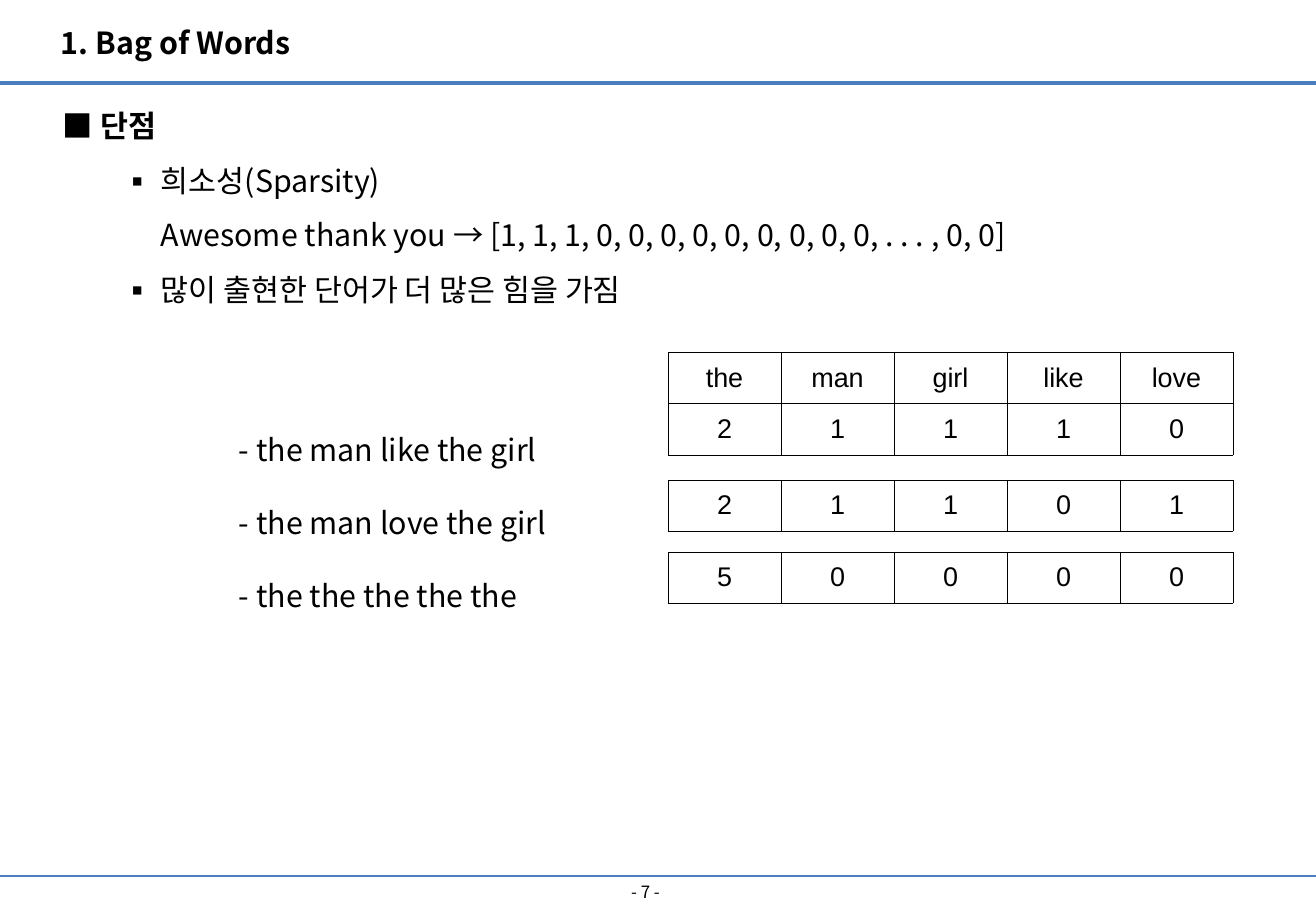
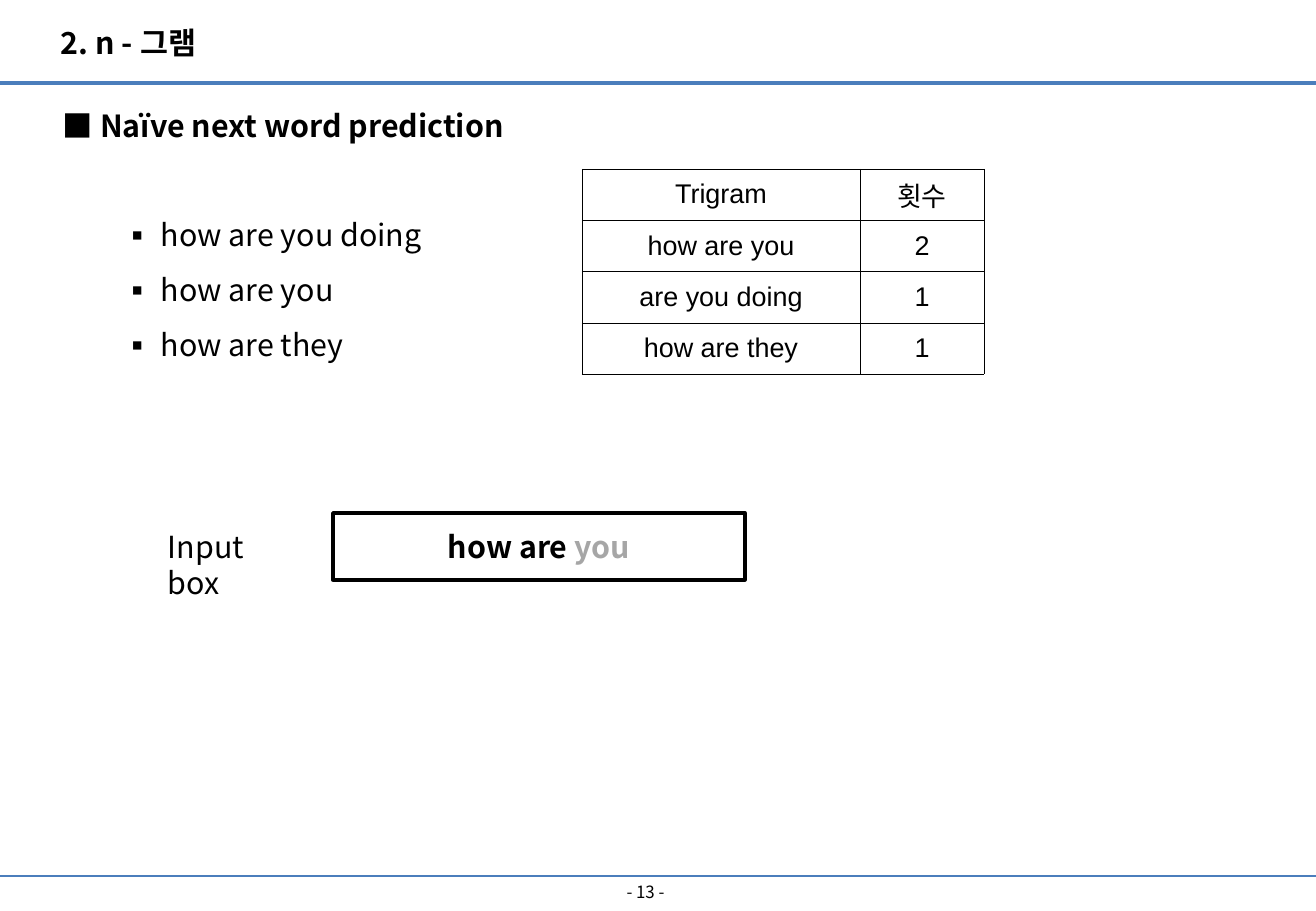
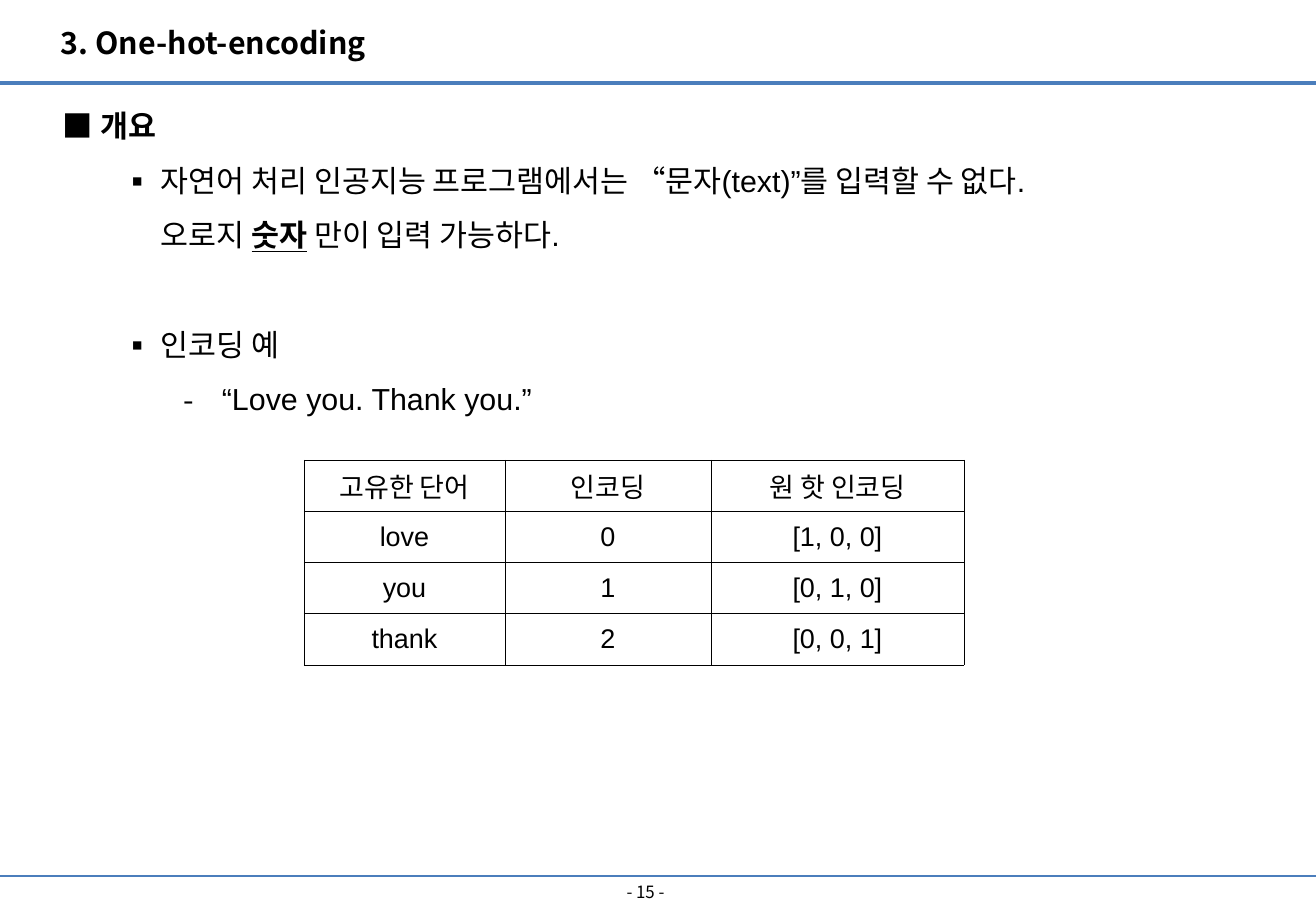
from dataclasses import dataclass

from lxml.etree import SubElement
from pptx import Presentation
from pptx.dml.color import RGBColor
from pptx.enum.shapes import MSO_CONNECTOR, MSO_SHAPE
from pptx.enum.text import MSO_ANCHOR, MSO_AUTO_SIZE, PP_ALIGN
from pptx.oxml.ns import qn
from pptx.util import Pt

# ---- Content: outline lines are (kind, gap before, runs); runs are (text, style)
BOLD = {"bold": True}
SLIDES = [
    {
        "title": ("1. Bag of Words", 262),
        "page": 7,
        "outline_size": (1200, 233),
        "outline_font": "Noto Sans CJK KR",
        "outline": [
            ("heading", False, [("■ 단점", BOLD)]),
            ("bullet", False, [
                ("희소성(Sparsity)\nAwesome thank you → "
                 "[1, 1, 1, 0, 0, 0, 0, 0, 0, 0, 0, 0, . . . , 0, 0]", {})]),
            ("bullet", False, [("많이 출현한 단어가 더 많은 힘을 가짐", {})]),
        ],
        "tables": [
            {"at": (668, 352), "columns": [113] * 5, "height": 103, "side_inset": 0,
             "rows": [("the", "man", "girl", "like", "love"), "21110"]},
            {"at": (668, 480), "columns": [113] * 5, "height": 51, "side_inset": 0,
             "rows": ["21101"]},
            {"at": (668, 552), "columns": [113] * 5, "height": 51, "side_inset": 0,
             "rows": ["50000"]},
        ],
    },
    {
        "title": ("2. n - 그램", 176),
        "page": 13,
        "outline_size": (1200, 288),
        "outline_font": "Noto Sans CJK KR",
        "outline": [
            ("heading", False, [("■ Naïve next word prediction", BOLD)]),
            ("bullet", True, [("how are you doing", {})]),
            ("bullet", False, [("how are you", {})]),
            ("bullet", False, [("how are they", {})]),
        ],
        "tables": [
            {"at": (582, 169), "columns": [278, 124], "height": 205, "side_inset": 12,
             "rows": [("Trigram", "횟수"), ("how are you", "2"),
                      ("are you doing", "1"), ("how are they", "1")]},
        ],
    },
    {
        "title": ("3. One-hot-encoding", 329),
        "page": 15,
        "outline_size": (1162, 344),
        "outline_font": "Arial",
        "outline": [
            ("heading", False, [("■ 개요", BOLD)]),
            ("bullet", False, [
                ("자연어 처리 인공지능 프로그램에서는 “문자(text)”를 입력할 수 없다.\n오로지 ", {}),
                ("숫자", {"bold": True, "underline": True}),
                (" 만이 입력 가능하다.", {})]),
            ("bullet", True, [("인코딩 예", {})]),
            ("dash", False, [("“Love you. Thank you.”", {})]),
        ],
        "tables": [
            {"at": (304, 460), "columns": [201, 206, 253], "height": 205, "side_inset": 12,
             "rows": [("고유한 단어", "인코딩", "원 핫 인코딩"), ("love", "0", "[1, 0, 0]"),
                      ("you", "1", "[0, 1, 0]"), ("thank", "2", "[0, 0, 1]")]},
        ],
    },
]
SENTENCES = ["- the man like the girl", "- the man love the girl", "- the the the the the"]
INPUT_LABEL = "Input box"
TYPED, PREDICTED = "how are ", "you"


# ---- Theme
@dataclass(frozen=True)
class Theme:
    ink: str = "000000"
    rule: str = "4B7EBC"
    faded: str = "A6A6A6"
    sans: str = "Noto Sans CJK KR"
    table_font: str = "Arial"
    text_size: int = 18
    table_size: int = 16
    page_size: int = 10
    blank_line: float = 32.4
    cell_line: float = 0.25


THEME = Theme()
WIDTH, HEIGHT = 1316, 911
HEADER_Y, FOOTER_Y = 83, 876
# kind: (level, bullet character, left margin)
OUTLINE_KINDS = {"heading": (0, None, 0), "bullet": (1, "▪", 98), "dash": (2, "-", 159)}
HANGING = 38


def px(length):
    return round(length * 914400 / 121.5)


# ---- Text helpers
def add_run(paragraph, text, size=THEME.text_size, font=THEME.sans, color=THEME.ink,
            bold=False, underline=False):
    for index, line in enumerate(text.split("\n")):
        if index:
            paragraph.add_line_break()
        run = paragraph.add_run()
        run.text = line
        run.font.size = Pt(size)
        run.font.bold = bold
        run.font.underline = underline
        run.font.color.rgb = RGBColor.from_string(color)
        run.font.name = font
        SubElement(run.font._element, qn("a:ea"), typeface=THEME.sans)


def add_text(slide, left, top, width, height, wrap=True, grow=True):
    frame = slide.shapes.add_textbox(px(left), px(top), px(width), px(height)).text_frame
    frame.word_wrap = wrap
    frame.auto_size = MSO_AUTO_SIZE.SHAPE_TO_FIT_TEXT if grow else MSO_AUTO_SIZE.NONE
    return frame


def paragraphs(frame, items):
    for index, item in enumerate(items):
        yield (frame.add_paragraph() if index else frame.paragraphs[0]), item


# ---- Parts shared by all slides
def add_rule(slide, y, weight):
    rule = slide.shapes.add_connector(MSO_CONNECTOR.STRAIGHT, 0, px(y), px(WIDTH), px(y))
    rule.line.color.rgb = RGBColor.from_string(THEME.rule)
    rule.line.width = Pt(weight)
    SubElement(rule._element.spPr, qn("a:effectLst"))


def add_frame(slide, title, page):
    add_rule(slide, HEADER_Y, 2.25)
    add_rule(slide, FOOTER_Y, 0.75)
    text, width = title
    add_run(add_text(slide, 49, 18, width, 49, wrap=False).paragraphs[0], text, bold=True)
    footer = add_text(slide, 492, FOOTER_Y, 307, 32, grow=False)
    footer.vertical_anchor = MSO_ANCHOR.MIDDLE
    footer.paragraphs[0].alignment = PP_ALIGN.CENTER
    add_run(footer.paragraphs[0], f"- {page} -", THEME.page_size)


def add_outline(slide, size, font, lines):
    frame = add_text(slide, 51, HEADER_Y, *size)
    for paragraph, (kind, gap, runs) in paragraphs(frame, lines):
        level, bullet, margin = OUTLINE_KINDS[kind]
        paragraph.level = level
        paragraph.line_spacing = 1.5
        if gap:
            paragraph.space_before = Pt(THEME.blank_line)
        if bullet:
            properties = paragraph._p.get_or_add_pPr()
            properties.set("marL", str(px(margin)))
            properties.set("indent", str(-px(HANGING)))
            SubElement(properties, qn("a:buFont"), typeface=THEME.sans)
            SubElement(properties, qn("a:buChar"), char=bullet)
        for text, style in runs:
            add_run(paragraph, text, font=THEME.sans if kind == "heading" else font, **style)


def add_borders(cell):
    properties = cell._tc.get_or_add_tcPr()
    for index, side in enumerate(("a:lnL", "a:lnR", "a:lnT", "a:lnB")):
        border = SubElement(properties, qn(side), w=str(Pt(THEME.cell_line)))
        fill = SubElement(border, qn("a:solidFill"))
        SubElement(fill, qn("a:srgbClr"), val=THEME.ink)
        properties.insert(index, border)


def add_grid(slide, at, columns, height, side_inset, rows):
    left, top = at
    table = slide.shapes.add_table(len(rows), len(columns), px(left), px(top),
                                   px(sum(columns)), px(height)).table
    table.first_row = table.horz_banding = False
    for column, width in zip(table.columns, columns):
        column.width = px(width)
    for row, words in zip(table.rows, rows):
        row.height = px(height / len(rows))
        for cell, word in zip(row.cells, words):
            cell.fill.background()
            cell.vertical_anchor = MSO_ANCHOR.MIDDLE
            cell.margin_left = cell.margin_right = px(side_inset)
            add_borders(cell)
            paragraph = cell.text_frame.paragraphs[0]
            paragraph.alignment = PP_ALIGN.CENTER
            add_run(paragraph, word, THEME.table_size, THEME.table_font)


# ---- Parts of single slides
def add_sentences(slide):
    frame = add_text(slide, 227, 389, 343, 233, wrap=False)
    for paragraph, sentence in paragraphs(frame, SENTENCES):
        paragraph.line_spacing = 2.0
        add_run(paragraph, sentence)


def add_input_box(slide):
    box = slide.shapes.add_shape(MSO_SHAPE.RECTANGLE, px(333), px(513), px(412), px(67))
    box.shadow.inherit = False
    box.fill.background()
    box.line.color.rgb = RGBColor.from_string(THEME.ink)
    box.line.width = Pt(2)
    box.text_frame.vertical_anchor = MSO_ANCHOR.MIDDLE
    entry = box.text_frame.paragraphs[0]
    entry.alignment = PP_ALIGN.CENTER
    add_run(entry, TYPED, bold=True)
    add_run(entry, PREDICTED, color=THEME.faded, bold=True)
    add_run(add_text(slide, 156, 522, 150, 49).paragraphs[0], INPUT_LABEL)


# ---- Build
deck = Presentation()
deck.slide_width, deck.slide_height = px(WIDTH), px(HEIGHT)
pages = []
for content in SLIDES:
    page = deck.slides.add_slide(deck.slide_layouts[6])
    add_frame(page, content["title"], content["page"])
    add_outline(page, content["outline_size"], content["outline_font"], content["outline"])
    for grid in content["tables"]:
        add_grid(page, **grid)
    pages.append(page)

bag_of_words, n_gram, _ = pages
add_sentences(bag_of_words)
add_input_box(n_gram)
deck.save("out.pptx")
